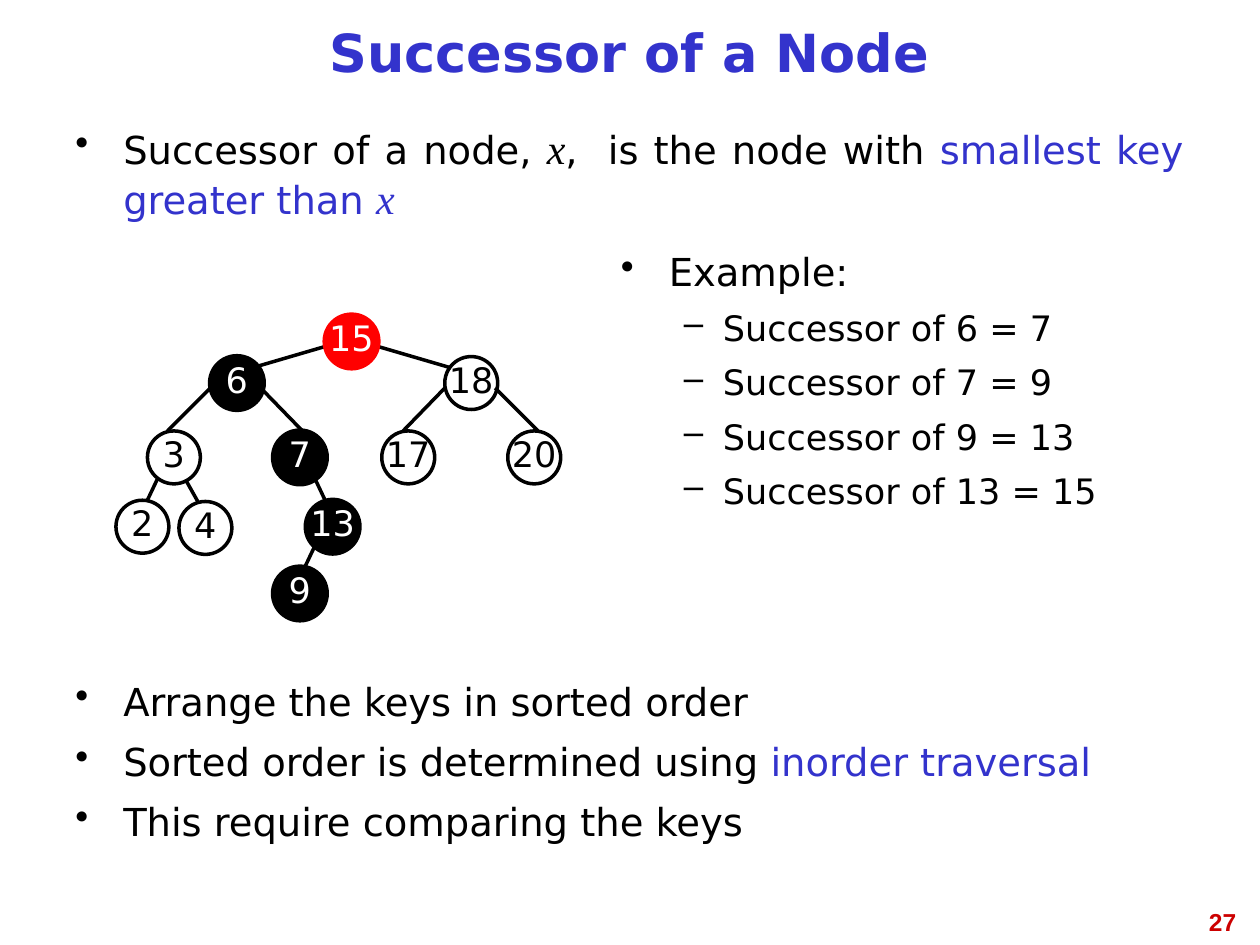
import dataclasses

import lxml.etree
import pptx
import pptx.dml.color
import pptx.enum.shapes
import pptx.enum.text
import pptx.oxml.ns
import pptx.util

Inches = pptx.util.Inches
Pt = pptx.util.Pt
Align = pptx.enum.text.PP_ALIGN
Anchor = pptx.enum.text.MSO_ANCHOR
qn = pptx.oxml.ns.qn


@dataclasses.dataclass(frozen=True)
class Theme:
    font: str = "DejaVu Sans"
    math_font: str = "Times New Roman"
    number_font: str = "Arial"
    ink: str = "000000"
    paper: str = "FFFFFF"
    accent: str = "3333CC"
    successor: str = "FF0000"
    number: str = "CC0000"
    title_size: int = 30
    body_size: int = 22
    math_size: int = 24
    small_size: int = 20
    number_size: int = 14


THEME = Theme()

# Bullet levels: character, left margin and hang (inches), size, space before
LEVELS = [("•", 0.38, 0.38, THEME.body_size, 8),
          ("–", 0.81, 0.31, THEME.small_size, 7)]

# Node styles: fill, line, line width, text
PLAIN = (None, THEME.ink, 2, THEME.ink)
VISITED = (THEME.ink, THEME.ink, 3, THEME.paper)
FOUND = (THEME.successor, THEME.successor, 3, THEME.paper)

NODE_SIZE = 0.42
# Key, left and top within the tree, style
NODES = [
    (18, 2.61, 0.33, PLAIN), (3, 0.25, 0.92, PLAIN),
    (17, 2.11, 0.92, PLAIN), (20, 3.11, 0.92, PLAIN),
    (2, 0, 1.47, PLAIN), (4, 0.5, 1.48, PLAIN),
    (6, 0.75, 0.33, VISITED), (7, 1.25, 0.92, VISITED),
    (9, 1.25, 2, VISITED), (13, 1.51, 1.47, VISITED),
    (15, 1.66, 0, FOUND),
]
# Parent end and child end within the tree
EDGES = [
    (1.66, 0.25, 1.08, 0.42), (2.08, 0.25, 2.66, 0.42),
    (0.75, 0.58, 0.41, 0.92), (1.15, 0.58, 1.48, 0.92),
    (2.61, 0.58, 2.28, 0.92), (3.01, 0.58, 3.35, 0.92),
    (0.33, 1.3, 0.25, 1.47), (0.56, 1.32, 0.65, 1.48),
    (1.58, 1.3, 1.66, 1.47), (1.58, 1.83, 1.5, 2),
]


def color(value):
    return pptx.dml.color.RGBColor.from_string(value)


def format_font(font, name, size, value, bold=False, italic=False):
    font.name = name
    font.size = Pt(size)
    font.color.rgb = color(value)
    font.bold = bold
    font.italic = italic


def add_title(slide, box, text):
    title = slide.shapes.title
    title.left, title.top, title.width, title.height = map(Inches, box)
    frame = title.text_frame
    frame.text = text
    frame.auto_size = pptx.enum.text.MSO_AUTO_SIZE.NONE
    frame.vertical_anchor = Anchor.MIDDLE
    paragraph = frame.paragraphs[0]
    paragraph.alignment = Align.CENTER
    paragraph.line_spacing = 0.81
    format_font(paragraph.font, THEME.font, THEME.title_size, THEME.accent, bold=True)


def set_bullet(paragraph, level):
    character, margin, hang, _, space = LEVELS[level]
    paragraph.level = level
    paragraph.space_before = Pt(space)
    properties = paragraph._p.get_or_add_pPr()
    properties.set("marL", str(Inches(margin)))
    properties.set("indent", str(-Inches(hang)))
    bullet_color = lxml.etree.SubElement(properties, qn("a:buClr"))
    lxml.etree.SubElement(bullet_color, qn("a:srgbClr"), val=THEME.ink)
    lxml.etree.SubElement(properties, qn("a:buChar"), char=character)


def add_bullets(slide, box, items):
    """Each item is a level and its (text, color, is_math) runs."""
    frame = slide.shapes.add_textbox(*map(Inches, box)).text_frame
    frame.word_wrap = True
    for index, (level, runs) in enumerate(items):
        paragraph = frame.add_paragraph() if index else frame.paragraphs[0]
        paragraph.alignment = Align.JUSTIFY
        set_bullet(paragraph, level)
        size = LEVELS[level][3]
        format_font(paragraph.font, THEME.font, size, THEME.ink)
        for text, value, is_math in runs:
            run = paragraph.add_run()
            run.text = text
            name = THEME.math_font if is_math else THEME.font
            format_font(run.font, name, THEME.math_size if is_math else size,
                        value, italic=is_math)


def add_edge(slide, ends):
    edge = slide.shapes.add_connector(
        pptx.enum.shapes.MSO_CONNECTOR.STRAIGHT, *map(Inches, ends))
    edge.line.color.rgb = color(THEME.ink)
    edge.line.width = Pt(2)
    lxml.etree.SubElement(edge._element.spPr, qn("a:effectLst"))


def add_node(slide, left, top, key, style):
    fill, line, width, text_color = style
    node = slide.shapes.add_shape(
        pptx.enum.shapes.MSO_SHAPE.OVAL,
        *map(Inches, (left, top, NODE_SIZE, NODE_SIZE)))
    node.shadow.inherit = False
    if fill:
        node.fill.solid()
        node.fill.fore_color.rgb = color(fill)
    else:
        node.fill.background()
    node.line.color.rgb = color(line)
    node.line.width = Pt(width)
    frame = node.text_frame
    frame.word_wrap = False
    frame.vertical_anchor = Anchor.MIDDLE
    frame.text = str(key)
    paragraph = frame.paragraphs[0]
    paragraph.alignment = Align.CENTER
    paragraph.line_spacing = 0.81
    format_font(paragraph.font, THEME.font, THEME.small_size, text_color)


def add_tree(slide, left, top):
    for x1, y1, x2, y2 in EDGES:
        add_edge(slide, (left + x1, top + y1, left + x2, top + y2))
    for key, x, y, style in NODES:
        add_node(slide, left + x, top + y, key, style)


def add_slide_number(slide, box, number):
    frame = slide.shapes.add_textbox(*map(Inches, box)).text_frame
    frame.word_wrap = True
    frame.text = str(number)
    paragraph = frame.paragraphs[0]
    paragraph.alignment = Align.RIGHT
    format_font(paragraph.font, THEME.number_font, THEME.number_size,
                THEME.number, bold=True)


def main():
    presentation = pptx.Presentation()
    presentation.slide_width, presentation.slide_height = Inches(10), Inches(7.5)
    slide = presentation.slides.add_slide(presentation.slide_layouts[5])
    ink, accent = THEME.ink, THEME.accent

    add_title(slide, (0.5, 0.08, 8.99, 0.75), "Successor of a Node")
    add_bullets(slide, (0.5, 0.92, 8.99, 1.08), [
        (0, [("Successor of a node, ", ink, False), ("x", ink, True),
             (",  is the node with ", ink, False),
             ("smallest key greater than ", accent, False), ("x", accent, True)]),
    ])
    add_tree(slide, 0.92, 2.5)
    successors = [(6, 7), (7, 9), (9, 13), (13, 15)]
    add_bullets(slide, (4.83, 1.92, 4.66, 2.5), [
        (0, [("Example: ", ink, False)]),
        *[(1, [(f"Successor of {key} = {following}", ink, False)])
          for key, following in successors],
    ])
    add_bullets(slide, (0.5, 5.33, 8.99, 1.5), [
        (0, [("Arrange the keys in sorted order", ink, False)]),
        (0, [("Sorted order is determined using ", ink, False),
             ("inorder traversal", accent, False)]),
        (0, [("This require comparing the keys", ink, False)]),
    ])
    add_slide_number(slide, (7.58, 7.15, 2.33, 0.52), 27)
    presentation.save("out.pptx")


if __name__ == "__main__":
    main()
